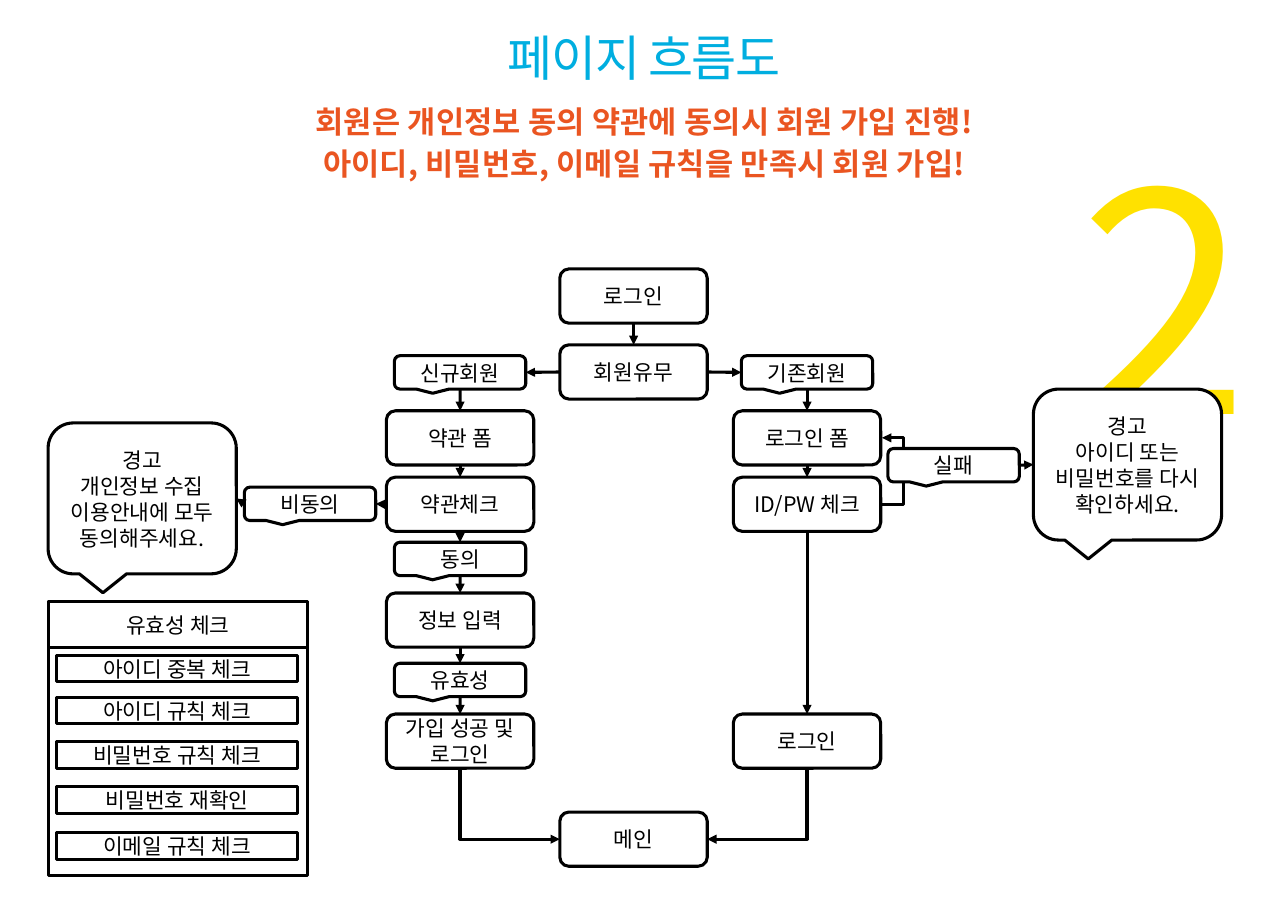
from lxml.etree import SubElement as Sub
from pptx import Presentation
from pptx.dml.color import RGBColor
from pptx.enum.shapes import MSO_CONNECTOR as LINK, MSO_SHAPE as FORM
from pptx.enum.text import MSO_ANCHOR as ANCHOR, PP_ALIGN as ALIGN
from pptx.oxml.ns import qn
from pptx.util import Cm, Pt

BLACK = RGBColor(0, 0, 0)
WHITE = RGBColor(255, 255, 255)
BLUE = RGBColor(0x00, 0xAE, 0xE0)
ORANGE = RGBColor(0xEA, 0x55, 0x21)
YELLOW = RGBColor(0xFF, 0xE1, 0x00)
FONT = "Noto Sans CJK KR"

STEP = (3.4, 1.25)
LABEL = (3.03, 0.77)
ALERT = (4.34, 3.48)
TOP, LEFT, BOTTOM, RIGHT = range(4)


def write(frame, text, size=14, color=BLACK, bold=False, gap=0, lead=17,
          align=ALIGN.CENTER):
    """Fill a text frame, one paragraph per line of text."""
    frame.word_wrap = True
    frame.text = text
    for para in frame.paragraphs:
        para.alignment = align
        para.line_spacing = Pt(lead)
        for run in para.runs:
            font = run.font
            font.size, font.bold, font.name = Pt(size), bold, FONT
            font.color.rgb = color
            props = run._r.get_or_add_rPr()
            props.set("spc", str(gap))
            Sub(props, qn("a:ea")).set("typeface", FONT)


def label(slide, box, text, **style):
    frame = slide.shapes.add_textbox(*map(Cm, box)).text_frame
    frame.margin_left = frame.margin_right = 0
    frame.margin_top = frame.margin_bottom = 0
    write(frame, text, **style)


def draw(slide, form, box, text=""):
    shape = slide.shapes.add_shape(form, *map(Cm, box))
    shape.shadow.inherit = False
    shape.fill.solid()
    shape.fill.fore_color.rgb = WHITE
    shape.line.color.rgb = BLACK
    shape.line.width = Pt(2)
    frame = shape.text_frame
    frame.vertical_anchor = ANCHOR.MIDDLE
    frame.margin_top = frame.margin_bottom = 0
    if text:
        write(frame, text)
    return shape


def step(slide, mid, top, text):
    return draw(slide, FORM.ROUNDED_RECTANGLE, (mid - STEP[0] / 2, top, *STEP), text)


def note(slide, mid, top, text, size=LABEL):
    form = FORM.ROUNDED_RECTANGULAR_CALLOUT
    return draw(slide, form, (mid - size[0] / 2, top, *size), text)


def link(slide, start, out, goal, into, kind=LINK.STRAIGHT, tip="tailEnd"):
    """Join two shapes at the given sides with an arrow."""
    line = slide.shapes.add_connector(kind, 0, 0, 0, 0)
    line.begin_connect(start, out)
    line.end_connect(goal, into)
    line.line.color.rgb = BLACK
    line.line.width = Pt(2)
    Sub(line.line._get_or_add_ln(), qn("a:" + tip)).set("type", "triangle")
    Sub(line._element.spPr, qn("a:effectLst"))
    return line


def chain(slide, parts):
    for start, goal in zip(parts, parts[1:]):
        link(slide, start, BOTTOM, goal, TOP)


def corner(slide, main, side, start):
    """Lead from the bottom of start down and across into a side of main."""
    line = link(slide, main, side, start, BOTTOM, LINK.ELBOW, "headEnd")
    line._element.spPr.prstGeom.set("prst", "bentConnector2")


def retry(slide, start, goal):
    """Loop from the right of start back up to the right of goal."""
    line = link(slide, start, RIGHT, goal, RIGHT, LINK.ELBOW)
    line.end_x += Cm(0.03)
    guides = line._element.spPr.prstGeom.get_or_add_avLst()
    guide = Sub(guides, qn("a:gd"))
    guide.set("name", "adj1")
    guide.set("fmla", "val 1750000")


def heads(slide, left, top, width):
    label(slide, (left, top, width, 1.2), "페이지 흐름도",
          size=32, color=BLUE, gap=-100, lead=30)
    label(slide, (left, top + 1.31, width, 2),
          "회원은 개인정보 동의 약관에 동의시 회원 가입 진행!\n"
          "아이디, 비밀번호, 이메일 규칙을 만족시 회원 가입!",
          size=20, color=ORANGE, bold=True, gap=10, lead=27.5)
    label(slide, (left + 19.28, top + 2.98, 3.71, 7), "2",
          size=200, color=YELLOW, gap=-100, lead=200, align=ALIGN.LEFT)


def joining(slide, mid, top):
    """New members: from the terms to the first login."""
    new = note(slide, mid, top, "신규회원")
    terms = step(slide, mid, top + 1.27, "약관 폼")
    check = step(slide, mid, top + 2.8, "약관체크")
    agree = note(slide, mid, top + 4.3, "동의")
    form = step(slide, mid, top + 5.47, "정보 입력")
    valid = note(slide, mid, top + 7.09, "유효성")
    done = step(slide, mid, top + 8.26, "가입 성공 및 로그인")
    refuse = note(slide, mid - 3.46, top + 3.03, "비동의")
    alert = note(slide, mid - 7.33, top + 1.55,
                 "경고\n개인정보 수집 이용안내에 모두 동의해주세요.", ALERT)
    chain(slide, [new, terms, check, agree, form, valid, done])
    link(slide, check, LEFT, refuse, RIGHT)
    link(slide, refuse, LEFT, alert, RIGHT)
    return new, done


def entry(slide, mid, top):
    """Known members: login form, check and retry."""
    known = note(slide, mid, top, "기존회원")
    form = step(slide, mid, top + 1.27, "로그인 폼")
    check = step(slide, mid, top + 2.8, "ID/PW 체크")
    done = step(slide, mid, top + 8.26, "로그인")
    chain(slide, [known, form, check, done])
    retry(slide, check, form)
    fail = note(slide, mid + 3.38, top + 2.14, "실패")
    alert = note(slide, mid + 7.39, top + 0.77,
                 "경고\n아이디 또는 비밀번호를 다시 확인하세요.", ALERT)
    link(slide, fail, RIGHT, alert, LEFT)
    return known, done


def flow(slide, mid, top):
    login = step(slide, mid, top, "로그인")
    member = step(slide, mid, top + 1.75, "회원유무")
    main = step(slide, mid, top + 12.52, "메인")
    link(slide, login, BOTTOM, member, TOP)
    for branch, shift, near, far in ((joining, -4, LEFT, RIGHT),
                                     (entry, 4, RIGHT, LEFT)):
        first, last = branch(slide, mid + shift, top + 2)
        link(slide, member, near, first, far)
        corner(slide, main, near, last)


def checks(slide, left, top, width, height):
    draw(slide, FORM.RECTANGLE, (left, top, width, height))
    draw(slide, FORM.RECTANGLE, (left, top, width, 1.05), "유효성 체크")
    rows = ((1.24, "아이디 중복 체크"), (2.21, "아이디 규칙 체크"),
            (3.23, "비밀번호 규칙 체크"), (4.27, "비밀번호 재확인"),
            (5.33, "이메일 규칙 체크"))
    for down, text in rows:
        box = (left + 0.19, top + down, width - 0.42, 0.61)
        draw(slide, FORM.RECTANGLE, box, text)


def main():
    deck = Presentation()
    deck.slide_width, deck.slide_height = Cm(29.7), Cm(21)
    slide = deck.slides.add_slide(deck.slide_layouts[6])
    heads(slide, 5.61, 0.94, 18.49)
    flow(slide, 14.61, 6.2)
    checks(slide, 1.12, 13.87, 5.97, 6.32)
    deck.save("out.pptx")


if __name__ == "__main__":
    main()
